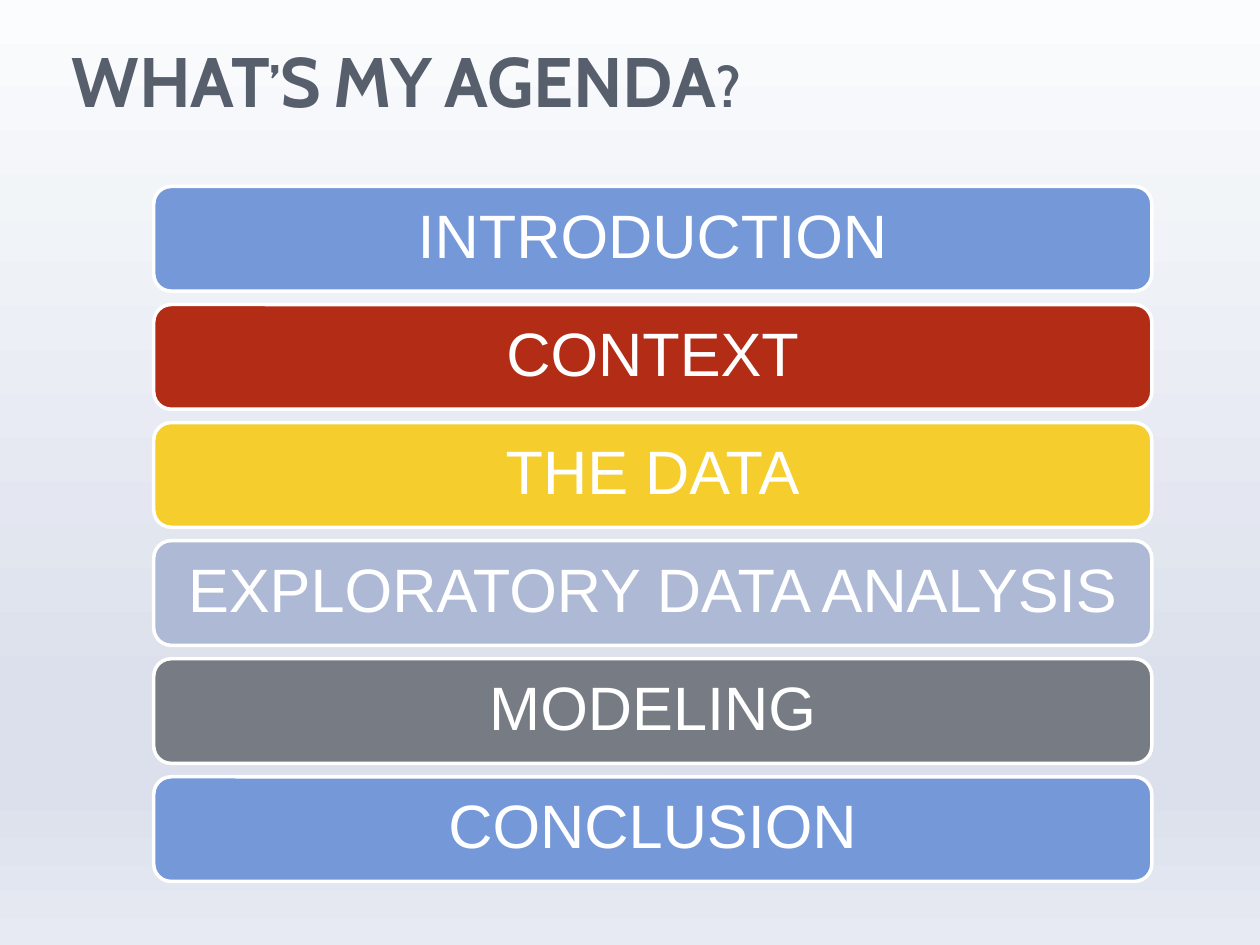
from dataclasses import dataclass

from lxml import etree
from pptx import Presentation
from pptx.dml.color import RGBColor
from pptx.enum import shapes, text
from pptx.oxml import ns
from pptx.slide import Slide
from pptx.util import Cm, Pt


@dataclass(frozen=True)
class Theme:
    heading_font: str = "Cabin"
    heading_size: float = 40
    heading_color: str = "575F6D"
    topic_font: str = "Arial"
    topic_size: float = 35
    white: str = "FFFFFF"
    blue: str = "7598D9"
    red: str = "B32C16"
    yellow: str = "F5CD2D"
    lavender: str = "AEBAD5"
    gray: str = "777C84"
    backdrop: tuple = ((0, "FBFCFD"), (74, "DBE0EC"), (83, "DBE0EC"), (100, "E7EAF2"))


@dataclass(frozen=True)
class Topic:
    label: str
    color: str


THEME = Theme()
AGENDA = (
    Topic("INTRODUCTION", THEME.blue),
    Topic("CONTEXT", THEME.red),
    Topic("THE DATA", THEME.yellow),
    Topic("EXPLORATORY DATA ANALYSIS", THEME.lavender),
    Topic("MODELING", THEME.gray),
    Topic("CONCLUSION", THEME.blue),
)
AGENDA_LEFT, AGENDA_TOP = Cm(3.1), Cm(3.76)
TOPIC_WIDTH, TOPIC_HEIGHT = Cm(20.12), Cm(2.11)
TOPIC_PITCH = Cm(2.38)


def set_margins(frame, margin: int) -> None:
    frame.margin_left = frame.margin_right = margin
    frame.margin_top = frame.margin_bottom = margin


def set_font(font, family: str, size: float, color: str) -> None:
    font.name = family
    font.size = Pt(size)
    font.color.rgb = RGBColor.from_string(color)


def paint_backdrop(slide: Slide) -> None:
    fill = slide.background.fill
    fill.gradient()
    fill.gradient_angle = 270
    stops = slide.element.find(".//" + ns.qn("a:gsLst"))
    for stop in list(stops):
        stops.remove(stop)
    for percent, color in THEME.backdrop:
        stop = etree.SubElement(stops, ns.qn("a:gs"), pos=str(percent * 1000))
        etree.SubElement(stop, ns.qn("a:srgbClr"), val=color)


def write_heading(slide: Slide, wording: str) -> None:
    heading = slide.shapes.title
    heading.left, heading.top = Cm(1.32), Cm(0.58)
    heading.width, heading.height = Cm(20.75), Cm(2.01)
    frame = heading.text_frame
    frame.text = wording
    frame.auto_size = text.MSO_AUTO_SIZE.NONE
    frame.vertical_anchor = text.MSO_ANCHOR.BOTTOM
    set_margins(frame, Cm(0.13))
    line = frame.paragraphs[0]
    line.alignment = text.PP_ALIGN.LEFT
    set_font(line.font, THEME.heading_font, THEME.heading_size, THEME.heading_color)
    line.font.bold = True
    heading.element.find(".//" + ns.qn("a:defRPr")).set("cap", "small")


def draw_topic(slide: Slide, topic: Topic, top: int) -> None:
    bar = slide.shapes.add_shape(
        shapes.MSO_SHAPE.ROUNDED_RECTANGLE, AGENDA_LEFT, top, TOPIC_WIDTH, TOPIC_HEIGHT
    )
    bar.shadow.inherit = False
    bar.fill.solid()
    bar.fill.fore_color.rgb = RGBColor.from_string(topic.color)
    bar.line.color.rgb = RGBColor.from_string(THEME.white)
    bar.line.width = Pt(2)
    frame = bar.text_frame
    frame.text = topic.label
    frame.word_wrap = True
    frame.vertical_anchor = text.MSO_ANCHOR.MIDDLE
    set_margins(frame, Cm(0.38))
    line = frame.paragraphs[0]
    line.alignment = text.PP_ALIGN.CENTER
    line.line_spacing = 0.9
    set_font(line.font, THEME.topic_font, THEME.topic_size, THEME.white)


def main() -> None:
    deck = Presentation()
    deck.slide_width, deck.slide_height = Cm(25.4), Cm(19.05)
    slide = deck.slides.add_slide(deck.slide_layouts.get_by_name("Title Only"))
    paint_backdrop(slide)
    write_heading(slide, "WHAT’S MY AGENDA?")
    for position, topic in enumerate(AGENDA):
        draw_topic(slide, topic, AGENDA_TOP + position * TOPIC_PITCH)
    deck.save("out.pptx")


if __name__ == "__main__":
    main()
